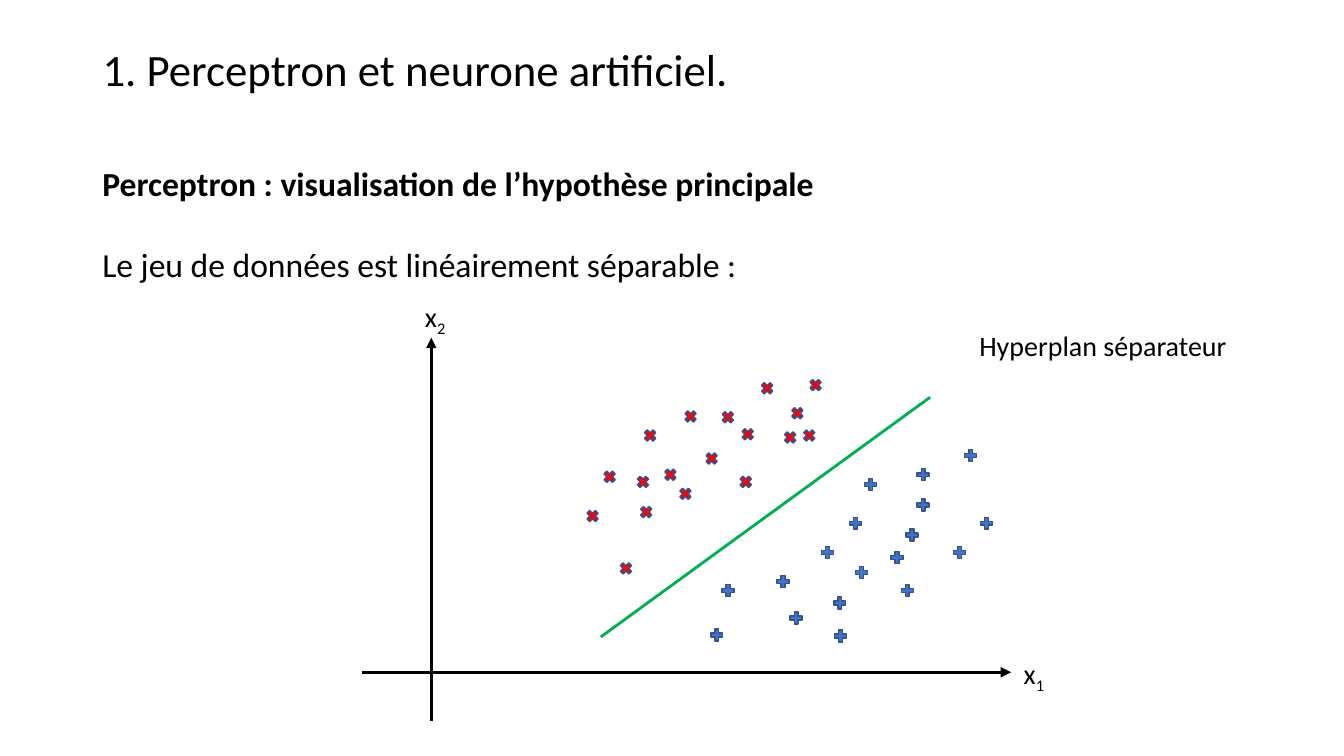
from lxml import etree
from pptx import Presentation
from pptx.dml.color import RGBColor
from pptx.enum.shapes import MSO_CONNECTOR, MSO_SHAPE
from pptx.enum.text import MSO_ANCHOR, PP_ALIGN
from pptx.oxml.ns import qn
from pptx.util import Cm, Pt

STRAIGHT = MSO_CONNECTOR.STRAIGHT
CROSS, PLUS = MSO_SHAPE.MATH_MULTIPLY, MSO_SHAPE.MATH_PLUS
MIDDLE, LEFT = MSO_ANCHOR.MIDDLE, PP_ALIGN.LEFT

FONT = "Calibri"
COLORS = {"text": "000000", "axis": "000000", "cross": "FF0000",
          "plus": "4472C4", "outline": "325491", "separator": "00B050"}

TITLE = "1. Perceptron et neurone artificiel."
INTRO = [("Perceptron : visualisation de l’hypothèse principale", True),
         ("Le jeu de données est linéairement séparable :", False)]

# Labels: text, subscript, (left, top, width, height) in cm
LABELS = [
    ("Hyperplan séparateur", "", (24.43, 8.15, 7.67, 1.12)),
    ("x", "1", (25.55, 16.41, 1.42, 1.12)),
    ("x", "2", (10.46, 7.42, 1.42, 1.12)),
]

# Lines: start, end in cm, colour, width in points, arrowhead at the start
LINES = [
    ((10.87, 8.51), (10.87, 18.16), "axis", 2.5, True),
    ((25.48, 16.94), (9.12, 16.94), "axis", 2.5, True),
    ((15.14, 16.05), (23.44, 10.01), "separator", 2, False),
]

# Markers: left and top of each, in cm
MARKER_SIZE = 0.41
CLASSES = [
    (CROSS, "cross", [
        (16.08, 12.7), (14.73, 12.8), (17.07, 12.24), (18.14, 10.31),
        (16.18, 10.77), (17.73, 11.35), (16.69, 11.76), (19.71, 10.82),
        (18.64, 10.74), (15.57, 14.12), (16, 11.94), (20.35, 9.5),
        (19.13, 9.58), (19.89, 10.21), (17.2, 10.29), (18.59, 11.94),
        (15.16, 11.81), (20.19, 10.77)]),
    (PLUS, "plus", [
        (17.86, 15.8), (20.98, 15.82), (19.86, 15.37), (20.65, 13.72),
        (23.06, 12.52), (24.26, 11.28), (22.66, 14.68), (21.74, 12.01),
        (22.4, 13.84), (23.98, 13.72), (18.14, 14.68), (20.96, 14.99),
        (22.78, 13.28), (21.51, 14.22), (21.36, 12.98), (24.66, 12.98),
        (23.06, 11.76), (19.53, 14.45)]),
]


def color(name):
    return RGBColor.from_string(COLORS[name])


def set_font(para, size, bold=False):
    para.font.name = FONT
    para.font.size = Pt(size)
    para.font.bold = bold
    para.font.color.rgb = color("text")


def add_text_box(slide, frame):
    box = slide.shapes.add_textbox(*map(Cm, frame))
    box.text_frame.word_wrap = True
    return box.text_frame


def add_title(slide):
    title = slide.shapes.title
    title.left, title.top, title.width, title.height = map(
        Cm, (2.33, 1.02, 29.21, 1.6))
    title.text_frame.text = TITLE
    title.text_frame.vertical_anchor = MIDDLE
    para = title.text_frame.paragraphs[0]
    para.alignment = LEFT
    para.line_spacing = 0.9
    set_font(para, 32)


def add_intro(slide):
    text = add_text_box(slide, (2.33, 3.99, 29.24, 4.37))
    for index, (words, bold) in enumerate(INTRO):
        para = text.add_paragraph() if index else text.paragraphs[0]
        para.text = words
        if index:
            para.space_before = Pt(29)
        set_font(para, 24, bold)


def add_label(slide, words, subscript, frame):
    para = add_text_box(slide, frame).paragraphs[0]
    para.add_run().text = words
    if subscript:
        span = para.add_run()
        span.text = subscript
        span.font._element.set("baseline", "-25000")
    set_font(para, 20)


def add_line(slide, start, end, color_name, width, arrow):
    line = slide.shapes.add_connector(STRAIGHT, *map(Cm, start + end))
    line.line.color.rgb = color(color_name)
    line.line.width = Pt(width)
    if arrow:
        outline = line.line._get_or_add_ln()
        etree.SubElement(outline, qn("a:headEnd"), type="triangle")
    etree.SubElement(line._element.spPr, qn("a:effectLst"))


def add_marker(slide, shape, color_name, left, top):
    marker = slide.shapes.add_shape(
        shape, Cm(left), Cm(top), Cm(MARKER_SIZE), Cm(MARKER_SIZE))
    marker.shadow.inherit = False
    marker.fill.solid()
    marker.fill.fore_color.rgb = color(color_name)
    marker.line.color.rgb = color("outline")
    marker.line.width = Pt(1)


def main():
    deck = Presentation()
    deck.slide_width, deck.slide_height = Cm(33.87), Cm(19.05)
    slide = deck.slides.add_slide(deck.slide_layouts.get_by_name("Title Only"))
    add_title(slide)
    add_intro(slide)
    for line in LINES:
        add_line(slide, *line)
    for shape, color_name, points in CLASSES:
        for left, top in points:
            add_marker(slide, shape, color_name, left, top)
    for label in LABELS:
        add_label(slide, *label)
    deck.save("out.pptx")


if __name__ == "__main__":
    main()
